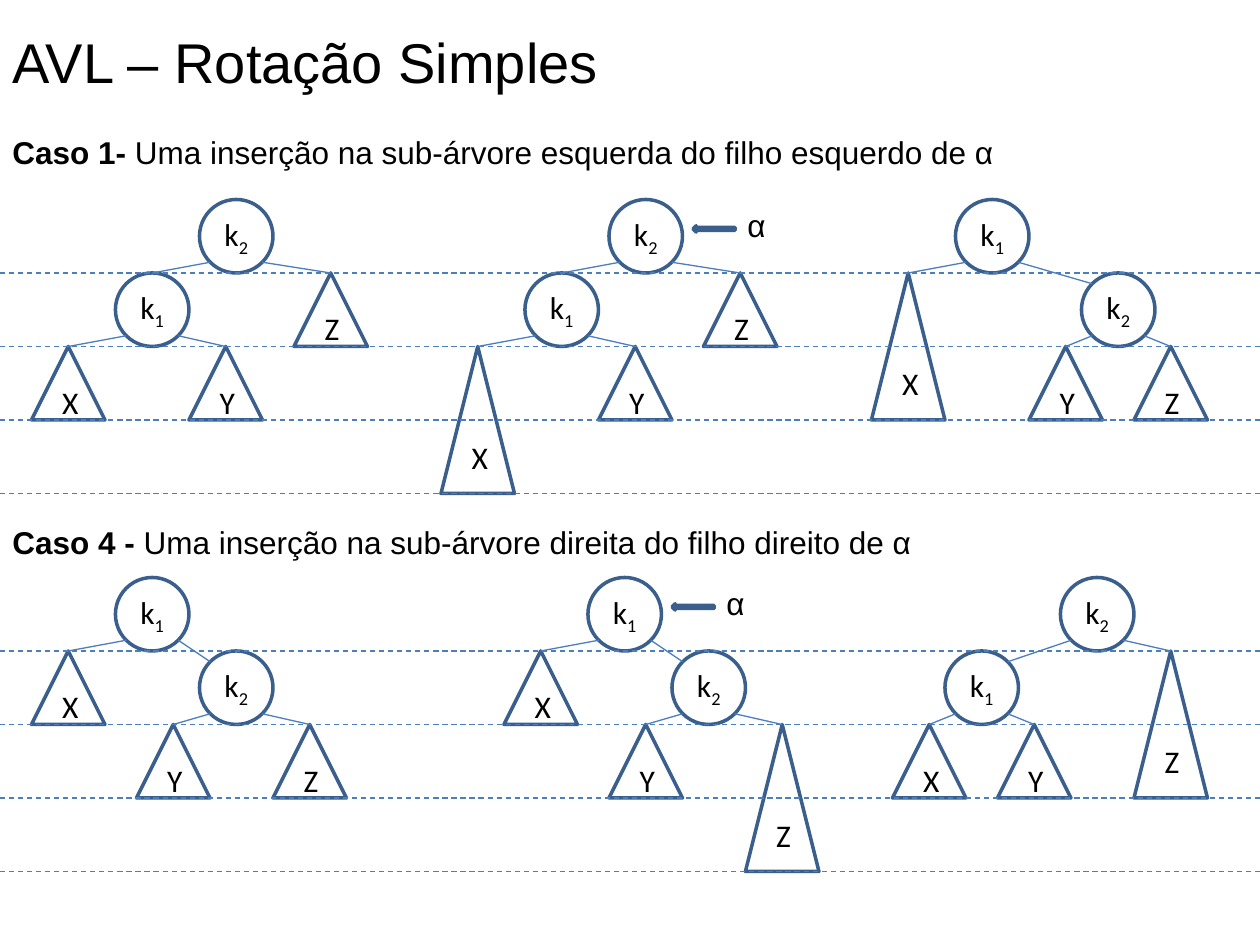
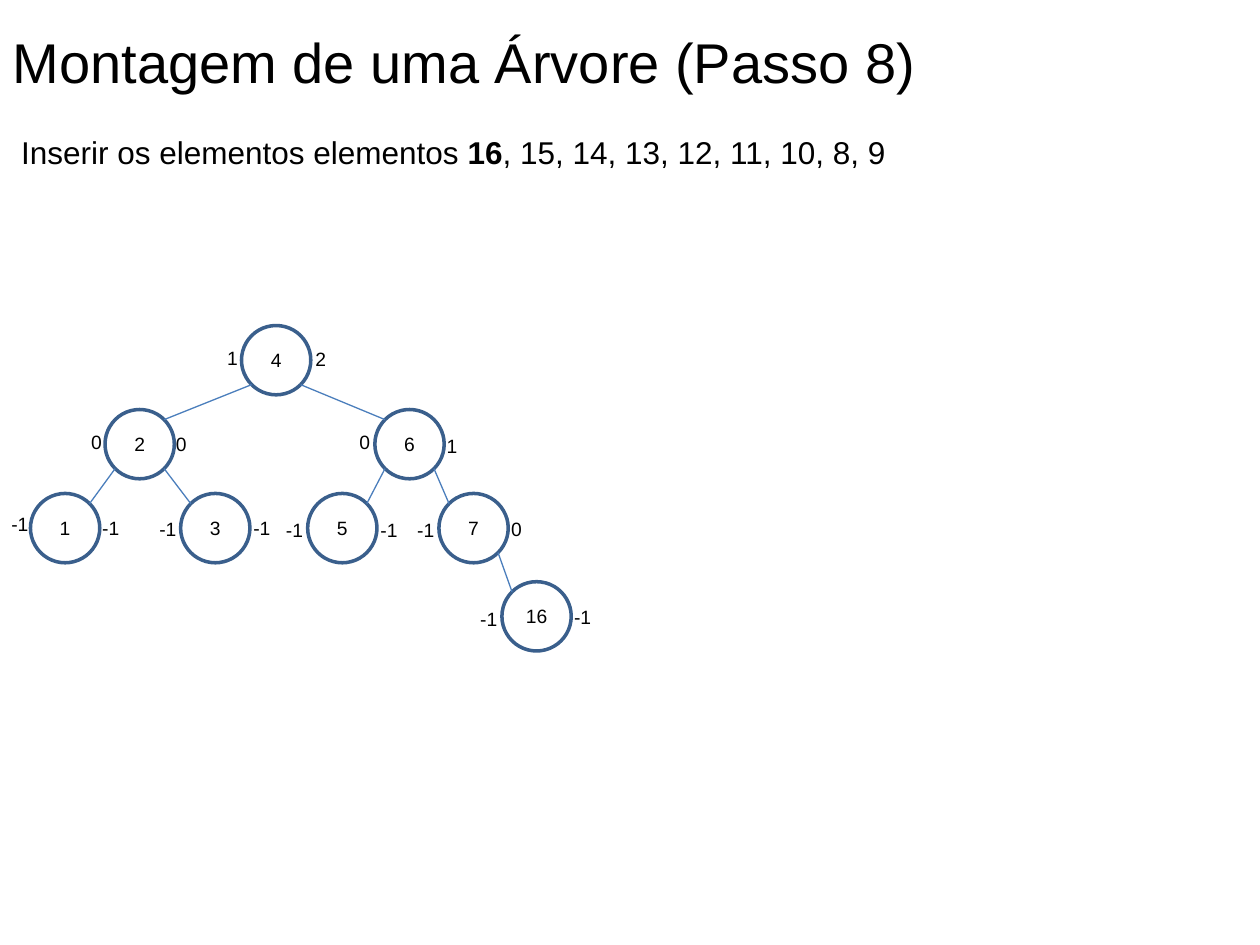
from pptx import Presentation
from pptx import util as u
from pptx.dml import color
from pptx.enum import dml, shapes, text
from pptx.oxml import ns
from lxml import etree

COLORS = {"ink": "000000", "outline": "3A5F8C", "edge": "4B7EBC", "arrow": "4F81BD"}
COLUMNS, ROWS = 120, 90
DIAGONAL = 0.5 ** 0.5
FIT = text.MSO_AUTO_SIZE.SHAPE_TO_FIT_TEXT


class Board:
    def __init__(self):
        self.deck = Presentation()
        self.deck.slide_width, self.deck.slide_height = u.Inches(10), u.Inches(7.5)
        self.page = None

    def x(self, columns):
        return round(columns * self.deck.slide_width / COLUMNS)

    def y(self, rows):
        return round(rows * self.deck.slide_height / ROWS)

    def area(self, column, row, width, height):
        return self.x(column), self.y(row), self.x(width), self.y(height)

    def fill_text(self, frame, parts, size, font="Arial", align=text.PP_ALIGN.LEFT):
        para = frame.paragraphs[0]
        para.alignment = align
        for words, style in parts:
            span = para.add_run()
            span.text = words
            span.font.name, span.font.size = font, u.Pt(size)
            span.font.bold = style == "bold"
            span.font.color.rgb = color.RGBColor.from_string(COLORS["ink"])
            if style == "sub":
                span._r.get_or_add_rPr().set("baseline", "-25000")

    def new_page(self, title, width):
        self.page = self.deck.slides.add_slide(self.deck.slide_layouts[5])
        box = self.page.shapes.title
        box.left, box.top, box.width, box.height = self.area(0, 2, width, 7.7)
        frame = box.text_frame
        frame.word_wrap, frame.auto_size = False, FIT
        frame.vertical_anchor = text.MSO_ANCHOR.TOP
        self.fill_text(frame, [(title, "")], 32)

    def words(self, column, row, width, height, parts, size=18, wrap=False, align=text.PP_ALIGN.LEFT):
        box = self.page.shapes.add_textbox(*self.area(column, row, width, height))
        box.text_frame.word_wrap, box.text_frame.auto_size = wrap, FIT
        self.fill_text(box.text_frame, parts, size, align=align)

    def sentence(self, row, parts):
        self.words(0, row, 118, 4.8, parts, wrap=True)

    def shape(self, kind, column, row, width, height, fill=None):
        box = self.page.shapes.add_shape(kind, *self.area(column, row, width, height))
        box.shadow.inherit = False
        box.line.color.rgb = color.RGBColor.from_string(COLORS["outline"])
        box.line.width = u.Pt(2)
        if fill:
            box.fill.solid()
            box.fill.fore_color.rgb = color.RGBColor.from_string(COLORS[fill])
        else:
            box.fill.background()
        return box

    def node(self, kind, column, row, width, height, name, size, font):
        box = self.shape(kind, column, row, width, height)
        box.text_frame.vertical_anchor = text.MSO_ANCHOR.MIDDLE
        parts = [("k", ""), (name[1:], "sub")] if name.startswith("k") else [(name, "")]
        self.fill_text(box.text_frame, parts, size, font, text.PP_ALIGN.CENTER)
        return box

    def line(self, start, end, dashed=False):
        edge = self.page.shapes.add_connector(shapes.MSO_CONNECTOR.STRAIGHT, *start, *end)
        edge.line.color.rgb = color.RGBColor.from_string(COLORS["edge"])
        edge.line.width = u.Pt(0.75)
        if dashed:
            edge.line.dash_style = dml.MSO_LINE.DASH
        etree.SubElement(edge._element.spPr, ns.qn("a:effectLst"))
        return edge

    def guides(self, first_row, step, count):
        for level in range(count):
            height = self.y(first_row + level * step)
            self.line((0, height), (self.x(COLUMNS), height), dashed=True)

    def rim(self, circle, side, down):
        reach = circle.width / 2 * DIAGONAL
        return (round(circle.left + circle.width / 2 + side * reach),
                round(circle.top + circle.height / 2 + down * reach))

    def join(self, parent, child, to_top):
        side = 1 if child.left > parent.left else -1
        edge = self.line(self.rim(parent, side, 1), self.rim(child, -side, -1))
        if to_top:
            edge.end_connect(child, 0)

    def tree(self, nodes, top, shift=0, tall="", upright="", diameter=7, step=7, size=18, font="Calibri"):
        drawn = {}
        for name, (column, level, parent) in nodes.items():
            is_subtree = name in ("X", "Y", "Z")
            kind = shapes.MSO_SHAPE.ISOSCELES_TRIANGLE if is_subtree else shapes.MSO_SHAPE.OVAL
            height = diameter * (2 if name == tall else 1)
            drawn[name] = self.node(kind, column + shift, top + level * step,
                                    diameter, height, name, size, font)
            if parent:
                self.join(drawn[parent], drawn[name], is_subtree or name == upright)

    def alpha_mark(self, column, row):
        self.words(column + 12, row, 4.2, 4.8, [("α", "")])
        self.shape(shapes.MSO_SHAPE.LEFT_ARROW, column + 8, row + 2.5, 4, 0.6, "arrow")


def rotation_page(board):
    board.new_page("AVL – Rotação Simples", 58.7)
    left_heavy = {"k2": (19, 0, ""), "k1": (11, 1, "k2"), "Z": (28, 1, "k2"),
                  "X": (3, 2, "k1"), "Y": (18, 2, "k1")}
    left_rotated = {"k1": (91, 0, ""), "X": (83, 1, "k1"), "k2": (103, 1, "k1"),
                    "Y": (98, 2, "k2"), "Z": (108, 2, "k2")}
    right_heavy = {"k1": (11, 0, ""), "X": (3, 1, "k1"), "k2": (19, 1, "k1"),
                   "Y": (13, 2, "k2"), "Z": (26, 2, "k2")}
    right_rotated = {"k2": (101, 0, ""), "k1": (90, 1, "k2"), "Z": (108, 1, "k2"),
                     "X": (85, 2, "k1"), "Y": (95, 2, "k1")}
    cases = [
        ("Caso 1- ", "Uma inserção na sub-árvore esquerda do filho esquerdo de α",
         12.1, 19, left_heavy, left_rotated, 39, "X", "k1", 58),
        ("Caso 4 - ", "Uma inserção na sub-árvore direita do filho direito de α",
         49.2, 55, right_heavy, right_rotated, 45, "Z", "", 56),
    ]
    for label, rule, heading, top, before, after, shift, tall, upright, root in cases:
        board.sentence(heading, [(label, "bold"), (rule, "")])
        board.tree(before, top, upright=upright)
        board.tree(before, top, shift, tall, upright)
        board.tree(after, top, tall=tall)
        board.guides(top + 7, 7, 4)
        board.alpha_mark(root, top)


def insertion_page(board):
    board.new_page("Montagem de uma Árvore (Passo 8)", 90.6)
    board.sentence(12.1, [(" Inserir os elementos elementos ", ""), ("16", "bold"),
                          (", 15, 14, 13, 12, 11, 10, 8, 9", "")])
    nodes = {"4": (23, 0, ""), "2": (10, 1, "4"), "6": (35.7, 1, "4"),
             "1": (2.9, 2, "2"), "3": (17.2, 2, "2"), "5": (29.3, 2, "6"),
             "7": (41.8, 2, "6"), "16": (47.8, 3.05, "7")}
    board.tree(nodes, 31, diameter=6.6, step=8, size=11, font="Arial")
    heights = [
        ("1", 20.4, 32.4), ("2", 28.8, 32.5),
        ("0 ", 7.4, 40.4), ("0", 15.5, 40.6), ("0", 33, 40.4), ("1", 41.3, 40.8),
        ("-1 ", -0.2, 48.2), ("-1", 8.5, 48.6), ("-1 ", 13.9, 48.7), ("-1", 22.9, 48.6),
        ("-1", 26, 48.8), ("-1", 35, 48.8), ("-1", 38.5, 48.8), ("0 ", 47.4, 48.7),
        ("-1", 44.5, 57.2), ("-1 ", 53.4, 57.1),
    ]
    for value, column, row in heights:
        width = 2.9 + 0.6 * len(value)
        board.words(column, row, width, 3.5, [(value, "")], 11, align=text.PP_ALIGN.CENTER)


def main():
    board = Board()
    rotation_page(board)
    insertion_page(board)
    board.deck.save("out.pptx")


if __name__ == "__main__":
    main()
